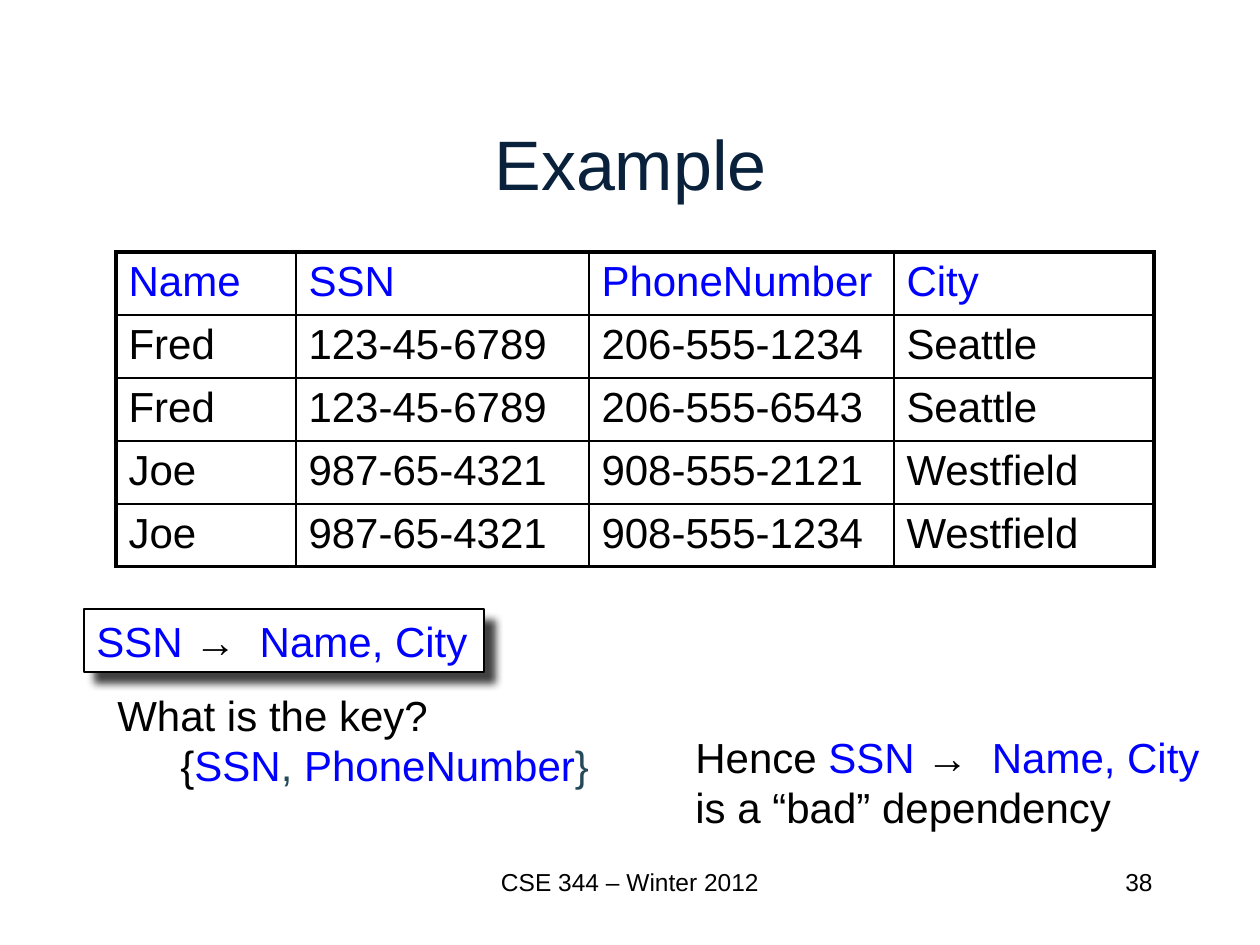
from typing import NamedTuple

import pptx
import pptx.dml.color
import pptx.enum.shapes
import pptx.enum.text
import pptx.oxml
import pptx.oxml.ns
import pptx.util

PX = 914400 // 126
FONT = "Arial"
COLORS = {"text": "000000", "title": "09213B", "key": "0000FF",
          "brace": "244A58", "paper": "FFFFFF"}
ALIGN = pptx.enum.text.PP_ALIGN
ANCHOR = pptx.enum.text.MSO_ANCHOR


class Span(NamedTuple):
    text: str
    color: str = "text"
    spacing: int = 0  # extra character spacing, in hundredths of a point


class Label(NamedTuple):
    place: tuple[int, int, int, int]
    paragraphs: list[list[Span]]
    size: int = 24
    align: ALIGN = ALIGN.LEFT
    wrap: bool = False


DEPENDENCY = [Span("SSN ", "key"), Span("→"), Span(" ", spacing=667),
              Span("Name, City", "key")]
RULE_PLACE = (84, 609, 400, 63)
LABELS = [
    Label((105, 683, 566, 115), [
        [Span("What is the key?")],
        [Span("\t{"), Span("SSN", "key"), Span(", ", "brace"),
         Span("PhoneNumber", "key"), Span("}", "brace")],
    ]),
    Label((683, 725, 534, 115), [
        [Span("Hence "), *DEPENDENCY],
        [Span("is a “bad” dependency")],
    ]),
    Label((399, 861, 462, 63), [[Span("CSE 344 – Winter 2012")]], 14, ALIGN.CENTER, True),
    Label((903, 861, 262, 63), [[Span("38")]], 14, ALIGN.RIGHT, True),
]

TABLE_LEFT, TABLE_TOP, ROW_HEIGHT = 116, 252, 63
COLUMN_WIDTHS = [180, 293, 305, 260]
ROWS = [
    ("Name", "SSN", "PhoneNumber", "City"),
    ("Fred", "123-45-6789", "206-555-1234", "Seattle"),
    ("Fred", "123-45-6789", "206-555-6543", "Seattle"),
    ("Joe", "987-65-4321", "908-555-2121", "Westfield"),
    ("Joe", "987-65-4321", "908-555-1234", "Westfield"),
]


def emu(*lengths: int) -> list[int]:
    return [length * PX for length in lengths]


def rgb(name: str) -> pptx.dml.color.RGBColor:
    return pptx.dml.color.RGBColor.from_string(COLORS[name])


def write(frame, paragraphs: list[list[Span]], size: int, **formats) -> None:
    """Fill a text frame with styled spans; formats apply to each paragraph."""
    for index, spans in enumerate(paragraphs):
        para = frame.paragraphs[0] if index == 0 else frame.add_paragraph()
        for name, value in formats.items():
            setattr(para, name, value)
        for span in spans:
            run = para.add_run()
            run.text = span.text
            for name, value in {"name": FONT, "size": pptx.util.Pt(size)}.items():
                setattr(run.font, name, value)
            run.font.color.rgb = rgb(span.color)
            if span.spacing:
                run.font._element.set("spc", str(span.spacing))


def add_label(page, label: Label) -> None:
    box = page.shapes.add_textbox(*emu(*label.place))
    box.text_frame.word_wrap = label.wrap
    write(box.text_frame, label.paragraphs, label.size, alignment=label.align)


def add_rule(page) -> None:
    """Draw the boxed dependency with its drop shadow."""
    box = page.shapes.add_shape(pptx.enum.shapes.MSO_SHAPE.RECTANGLE, *emu(*RULE_PLACE))
    box.fill.solid()
    box.fill.fore_color.rgb = rgb("paper")
    box.line.color.rgb = rgb("text")
    box.line.width = pptx.util.Pt(0.75)
    box.shadow.inherit = False
    effects = box._element.spPr.find(pptx.oxml.ns.qn("a:effectLst"))
    effects.append(pptx.oxml.parse_xml(
        f'<a:outerShdw {pptx.oxml.ns.nsdecls("a")} blurRad="63500" dist="107950" '
        f'dir="2700000" algn="tl" rotWithShape="0"><a:srgbClr val="{COLORS["text"]}">'
        '<a:alpha val="75000"/></a:srgbClr></a:outerShdw>'))
    for name, value in {"word_wrap": False, "vertical_anchor": ANCHOR.TOP}.items():
        setattr(box.text_frame, name, value)
    write(box.text_frame, [DEPENDENCY], 24, alignment=ALIGN.LEFT)


def set_borders(cell, outer_sides: dict[str, bool]) -> None:
    """Give outer sides a thick line and inner sides a thin one."""
    properties = cell._tc.get_or_add_tcPr()
    for index, (side, outer) in enumerate(outer_sides.items()):
        width = pptx.util.Pt(2.25 if outer else 1)
        properties.insert(index, pptx.oxml.parse_xml(
            f'<a:ln{side} {pptx.oxml.ns.nsdecls("a")} w="{width}"><a:solidFill>'
            f'<a:srgbClr val="{COLORS["text"]}"/></a:solidFill></a:ln{side}>'))


def add_people_table(page) -> None:
    last_row, last_column = len(ROWS) - 1, len(COLUMN_WIDTHS) - 1
    frame = page.shapes.add_table(
        len(ROWS), len(COLUMN_WIDTHS),
        *emu(TABLE_LEFT, TABLE_TOP, sum(COLUMN_WIDTHS), ROW_HEIGHT * len(ROWS)))
    table = frame.table
    for name in ("first_row", "horz_banding"):
        setattr(table, name, False)
    for column, width in zip(table.columns, emu(*COLUMN_WIDTHS)):
        column.width = width
    for row, values in enumerate(ROWS):
        for column, value in enumerate(values):
            cell = table.cell(row, column)
            cell.fill.background()
            set_borders(cell, {"L": column == 0, "R": column == last_column,
                               "T": row == 0, "B": row == last_row})
            write(cell.text_frame, [[Span(value, "text" if row else "key")]], 24)


def add_title(page) -> None:
    title = page.shapes.title
    title.left, title.top, title.width, title.height = emu(95, 84, 1071, 158)
    title.text_frame.vertical_anchor = ANCHOR.MIDDLE
    write(title.text_frame, [[Span("Example", "title")]], 40, alignment=ALIGN.CENTER)


def main() -> None:
    deck = pptx.Presentation()
    deck.slide_width, deck.slide_height = pptx.util.Inches(10), pptx.util.Inches(7.5)
    page = deck.slides.add_slide(deck.slide_layouts[5])
    add_title(page)
    add_people_table(page)
    add_rule(page)
    for label in LABELS:
        add_label(page, label)
    deck.save("out.pptx")


if __name__ == "__main__":
    main()
